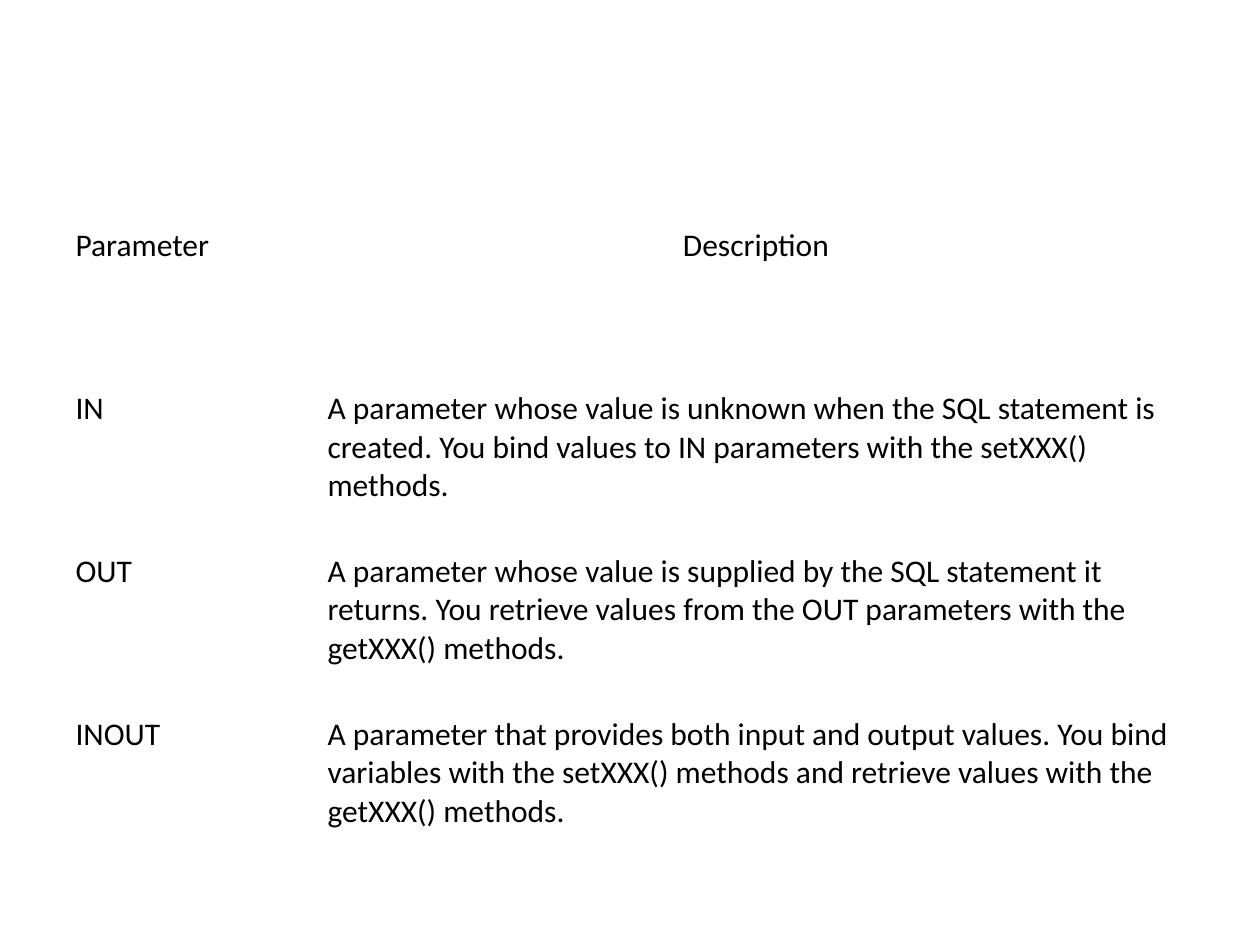
import dataclasses

import pptx
import pptx.dml.color
import pptx.enum.text
import pptx.util

Inches = pptx.util.Inches
ALIGN = pptx.enum.text.PP_ALIGN


@dataclasses.dataclass(frozen=True)
class Theme:
    font: str = "Calibri"
    size: int = 18
    ink: str = "000000"
    background: str = "FFFFFF"


THEME = Theme()

ROWS = [
    ("Parameter", "Description"),
    ("IN", "A parameter whose value is unknown when the SQL statement is created. "
           "You bind values to IN parameters with the setXXX() methods."),
    ("OUT", "A parameter whose value is supplied by the SQL statement it returns. "
            "You retrieve values from the OUT parameters with the getXXX() methods."),
    ("INOUT", "A parameter that provides both input and output values. "
              "You bind variables with the setXXX() methods and retrieve values "
              "with the getXXX() methods."),
]


def write_text(frame, text, size=THEME.size, color=THEME.ink, align=ALIGN.LEFT):
    para = frame.paragraphs[0]
    para.alignment = align
    span = para.add_run()
    span.text = text
    span.font.name = THEME.font
    span.font.size = pptx.util.Pt(size)
    span.font.color.rgb = pptx.dml.color.RGBColor.from_string(color)


def add_parameter_table(page, left, top, width, height):
    """Fill the given box with a plain table of parameter kinds."""
    table = page.shapes.add_table(len(ROWS), 2, Inches(left), Inches(top),
                                  Inches(width), Inches(height)).table
    table.first_row = False
    table.horz_banding = False

    # Names take two ninths of the width, descriptions the rest
    for column, share in zip(table.columns, (2 / 9, 7 / 9)):
        column.width = Inches(width * share)

    # Only the description heading is centred
    for row, texts in enumerate(ROWS):
        for col, text in enumerate(texts):
            cell = table.cell(row, col)
            cell.fill.background()
            centred = row == 0 and col == 1
            write_text(cell.text_frame, text,
                       align=ALIGN.CENTER if centred else ALIGN.LEFT)


def build_deck():
    deck = pptx.Presentation()
    deck.slide_width, deck.slide_height = Inches(10), Inches(7.5)

    # Blank layout, as the page has no title
    page = deck.slides.add_slide(deck.slide_layouts[6])
    page.background.fill.solid()
    page.background.fill.fore_color.rgb = pptx.dml.color.RGBColor.from_string(
        THEME.background)
    add_parameter_table(page, left=0.5, top=1.75, width=9, height=5.17)
    return deck


build_deck().save("out.pptx")
